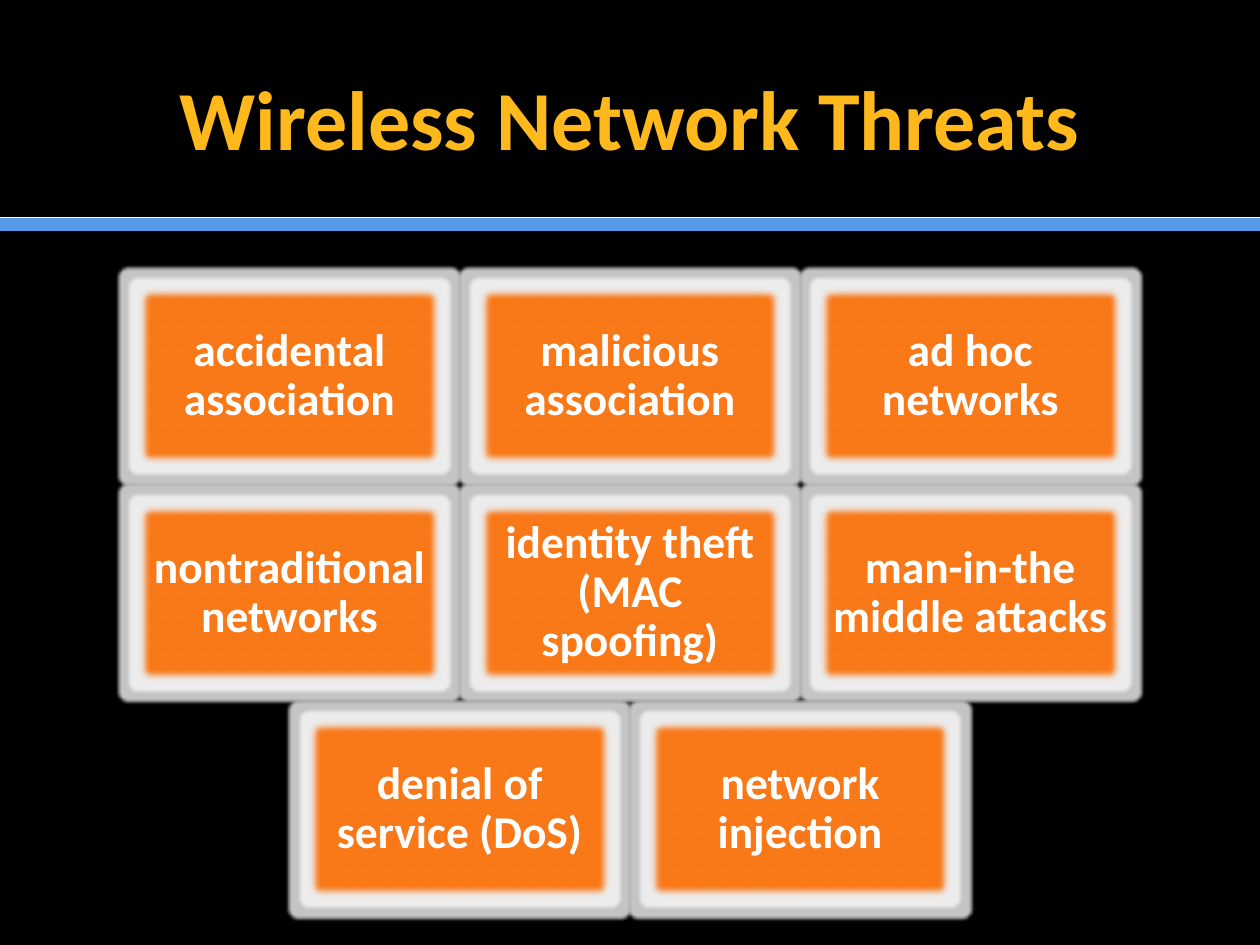
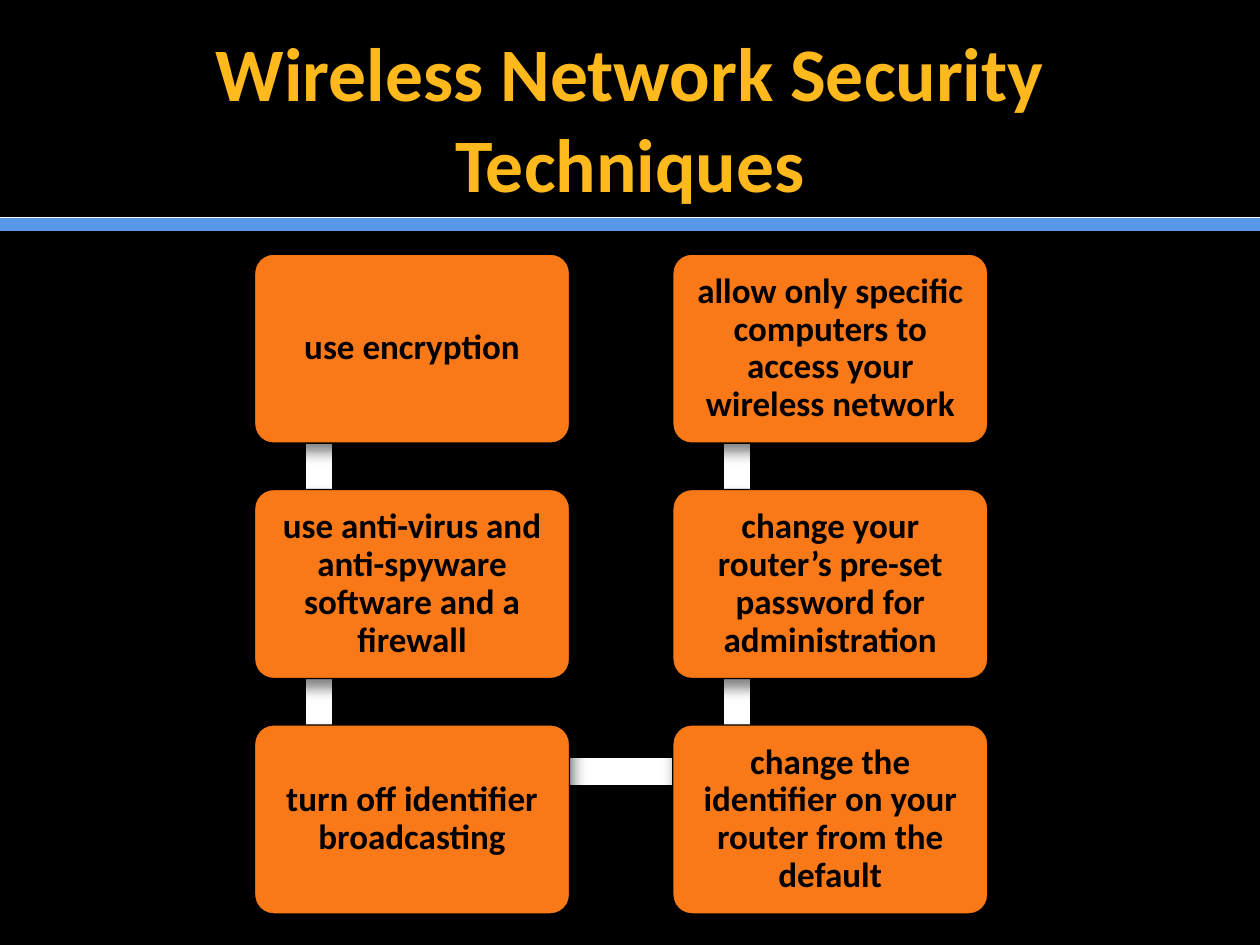
"""Builds two slides on wireless network threats and security techniques."""
from dataclasses import dataclass

from lxml.etree import SubElement
from pptx import Presentation
from pptx.dml.color import RGBColor
from pptx.enum.shapes import MSO_CONNECTOR, MSO_SHAPE
from pptx.enum.text import MSO_ANCHOR, PP_ALIGN
from pptx.oxml.ns import qn
from pptx.util import Pt


@dataclass(frozen=True)
class Theme:
    """Colours, font and type sizes shared by the slides."""
    font: str = "Calibri"
    black: str = "000000"
    white: str = "FFFFFF"
    title: str = "FFB91D"
    rule: str = "5799E8"
    accent: str = "F97817"
    frame_outer: str = "C4C4C4"
    frame_inner: str = "ECECEC"
    tile_size: float = 26
    step_size: float = 20


THEME = Theme()
SLIDE_WIDTH, SLIDE_HEIGHT = 720, 540

THREAT_ROWS = [
    ["accidental association", "malicious association", "ad hoc networks"],
    ["nontraditional networks", "identity theft (MAC spoofing)", "man-in-the middle attacks"],
    ["denial of service (DoS)", "network injection"],
]
TILE_WIDTH, TILE_HEIGHT, TILE_GAP = 177, 106, 17.5
TILE_TOP = 162

TECHNIQUE_COLUMNS = [
    ["use encryption",
     "use anti-virus and anti-spyware software and a firewall",
     "turn off identifier broadcasting"],
    ["allow only specific computers to access your wireless network",
     "change your router’s pre-set password for administration",
     "change the identifier on your router from the default"],
]
STEP_WIDTH, STEP_HEIGHT = 180, 108
STEP_LEFT, STEP_TOP = 145.5, 145.25
COLUMN_PITCH, ROW_PITCH = 239, 134.5
BAR_THICKNESS = 16


def colour(value):
    """Return the colour for a hex value."""
    return RGBColor.from_string(value)


def add_box(slide, kind, left, top, width, height, fill, line=None):
    """Add a filled preset shape without an inherited shadow."""
    shape = slide.shapes.add_shape(kind, Pt(left), Pt(top), Pt(width), Pt(height))
    shape.shadow.inherit = False
    shape.fill.solid()
    shape.fill.fore_color.rgb = colour(fill)
    if line:
        shape.line.color.rgb = colour(line)
        shape.line.width = Pt(0.75)
    else:
        shape.line.fill.background()
    return shape


def write_text(shape, text, size, text_colour, inset, line_spacing=None):
    """Write one bold, centred paragraph in a shape."""
    frame = shape.text_frame
    frame.word_wrap = True
    frame.vertical_anchor = MSO_ANCHOR.MIDDLE
    frame.margin_left = frame.margin_right = Pt(inset)
    frame.margin_top = frame.margin_bottom = Pt(inset)
    paragraph = frame.paragraphs[0]
    paragraph.text = text
    paragraph.alignment = PP_ALIGN.CENTER
    paragraph.line_spacing = line_spacing
    paragraph.font.name = THEME.font
    paragraph.font.size = Pt(size)
    paragraph.font.bold = True
    paragraph.font.color.rgb = colour(text_colour)


def soften(shape, radius):
    """Give a shape soft edges."""
    effects = shape._element.spPr.find(qn("a:effectLst"))
    SubElement(effects, qn("a:softEdge"), rad=str(Pt(radius)))


def cast_shadow(shape):
    """Give a shape a soft black shadow below it."""
    effects = shape._element.spPr.find(qn("a:effectLst"))
    shadow = SubElement(effects, qn("a:outerShdw"), blurRad=str(Pt(8)), dist=str(Pt(5)),
                        dir=str(70 * 60000), rotWithShape="0")
    shadow_colour = SubElement(shadow, qn("a:srgbClr"), val=THEME.black)
    SubElement(shadow_colour, qn("a:alpha"), val="50000")


def add_rule(slide, y, line_colour, width):
    """Add a horizontal line across the slide."""
    rule = slide.shapes.add_connector(MSO_CONNECTOR.STRAIGHT, 0, Pt(y), Pt(SLIDE_WIDTH), Pt(y))
    rule.line.color.rgb = colour(line_colour)
    rule.line.width = Pt(width)
    SubElement(rule._element.spPr, qn("a:effectLst"))


def add_titled_slide(presentation, title, size):
    """Add a black slide with the double rule and a title."""
    slide = presentation.slides.add_slide(presentation.slide_layouts[6])
    slide.background.fill.solid()
    slide.background.fill.fore_color.rgb = colour(THEME.black)
    add_rule(slide, 128.25, THEME.rule, 7)
    add_rule(slide, 124.5, THEME.white, 0.5)
    box = slide.shapes.add_textbox(Pt(36), Pt(21.6), Pt(648), Pt(90))
    write_text(box, title, size, THEME.title, 3.6)
    return slide


def add_frame(slide, left, top, margin, fill, radius):
    """Add a soft rounded frame layer around a threat tile."""
    frame = add_box(slide, MSO_SHAPE.ROUNDED_RECTANGLE, left - margin, top - margin,
                    TILE_WIDTH + 2 * margin, TILE_HEIGHT + 2 * margin, fill)
    frame.adjustments[0] = 0.05
    soften(frame, radius)


def add_threat_tile(slide, text, left, top):
    """Add a framed threat tile."""
    add_frame(slide, left, top, 11, THEME.frame_outer, 2)
    add_frame(slide, left, top, 5, THEME.frame_inner, 2)
    tile = add_box(slide, MSO_SHAPE.RECTANGLE, left, top, TILE_WIDTH, TILE_HEIGHT, THEME.accent)
    soften(tile, 5)
    write_text(tile, text, THEME.tile_size, THEME.white, 8, 0.9)


def add_threats(slide):
    """Lay out the threat tiles in centred rows."""
    pitch = TILE_WIDTH + TILE_GAP
    for row, threats in enumerate(THREAT_ROWS):
        start = (SLIDE_WIDTH - len(threats) * pitch + TILE_GAP) / 2
        for column, threat in enumerate(threats):
            add_threat_tile(slide, threat, start + column * pitch,
                            TILE_TOP + row * (TILE_HEIGHT + TILE_GAP + 0.25))


def add_bar(slide, left, top, width, height):
    """Add a white bar that joins two technique boxes."""
    cast_shadow(add_box(slide, MSO_SHAPE.RECTANGLE, left, top, width, height,
                        THEME.white, THEME.black))


def add_technique(slide, text, left, top):
    """Add a rounded technique box."""
    box = add_box(slide, MSO_SHAPE.ROUNDED_RECTANGLE, left, top, STEP_WIDTH, STEP_HEIGHT,
                  THEME.accent, THEME.black)
    box.adjustments[0] = 0.1
    cast_shadow(box)
    write_text(box, text, THEME.step_size, THEME.black, 9, 0.9)


def add_techniques(slide):
    """Lay out the technique boxes over the bars that link them."""
    lefts = [STEP_LEFT + column * COLUMN_PITCH for column in range(2)]
    tops = [STEP_TOP + row * ROW_PITCH for row in range(3)]
    for left in lefts:
        for top in tops[:-1]:
            add_bar(slide, left + 28.75, top + 26.75, BAR_THICKNESS, ROW_PITCH - 1)
    add_bar(slide, lefts[0] + 36.75, tops[-1] + 18.5, COLUMN_PITCH, BAR_THICKNESS)
    for left, techniques in zip(lefts, TECHNIQUE_COLUMNS):
        for top, technique in zip(tops, techniques):
            add_technique(slide, technique, left, top)


def main():
    """Build and save the presentation."""
    presentation = Presentation()
    presentation.slide_width, presentation.slide_height = Pt(SLIDE_WIDTH), Pt(SLIDE_HEIGHT)
    add_threats(add_titled_slide(presentation, "Wireless Network Threats", 48))
    add_techniques(add_titled_slide(presentation, "Wireless Network Security Techniques", 43.2))
    presentation.save("out.pptx")


if __name__ == "__main__":
    main()
